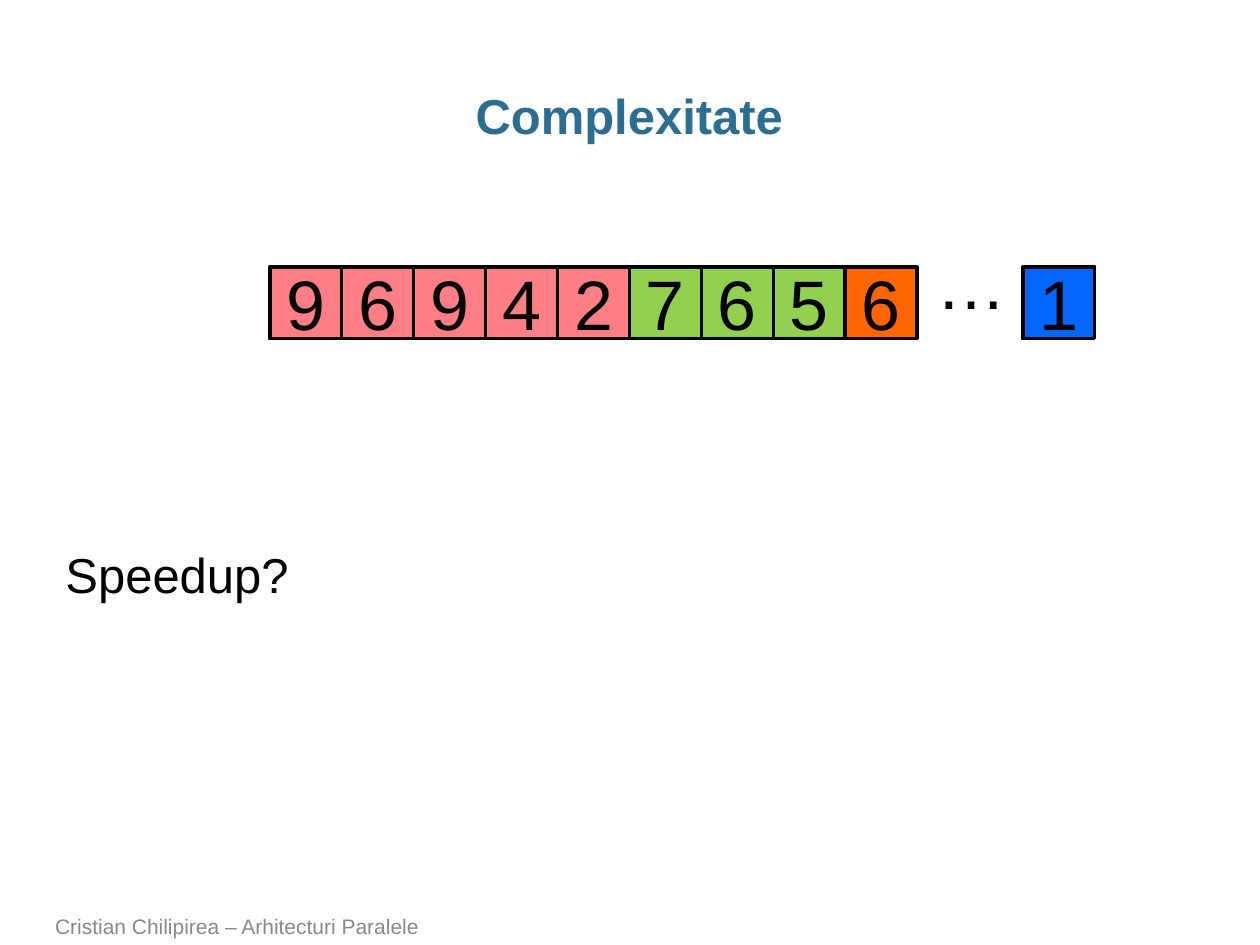
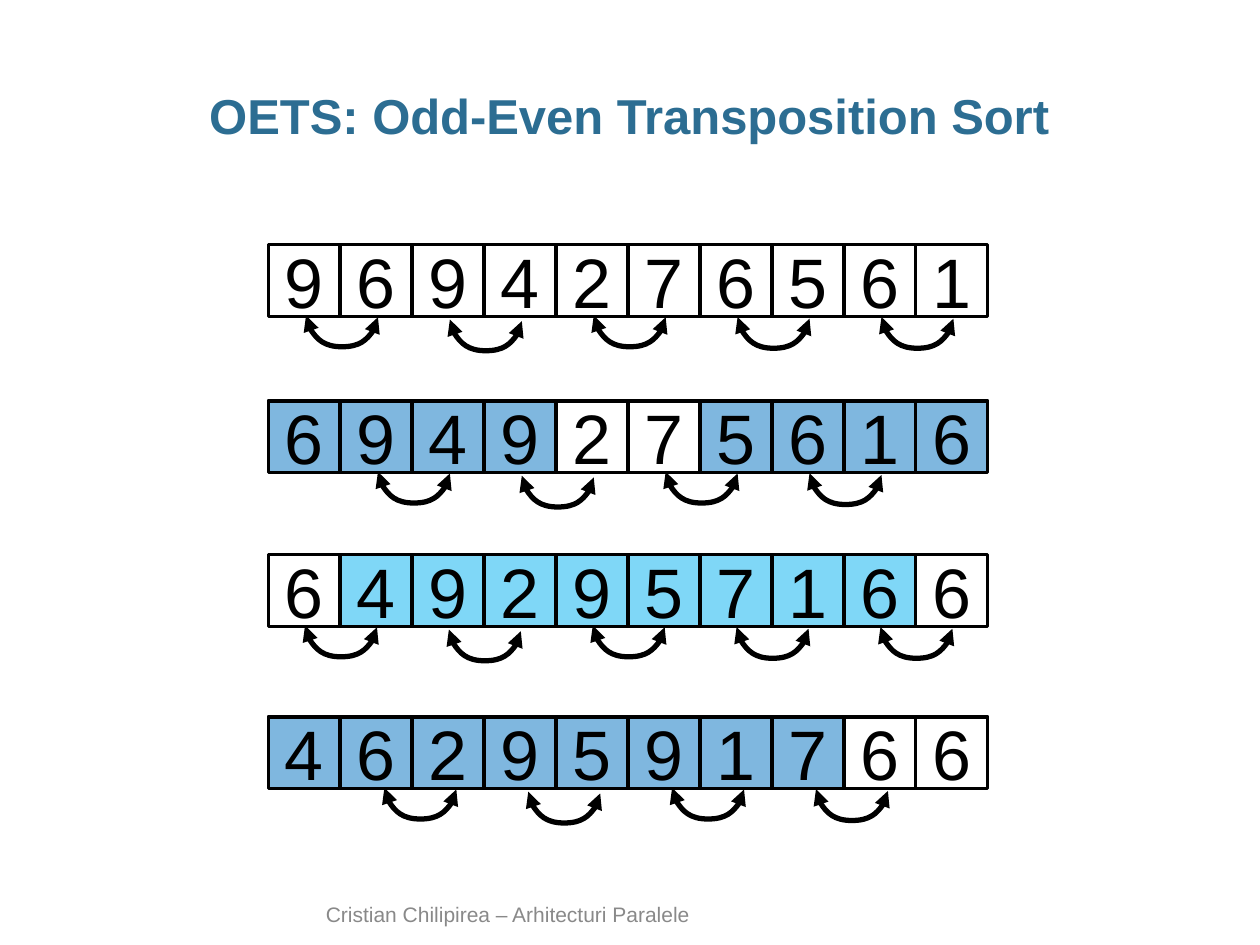
import pptx
import pptx.util
import pptx.dml.color
import pptx.enum.shapes
import pptx.enum.text
import pptx.oxml
from pptx.oxml.ns import qn
from lxml import etree

Cm, Pt = pptx.util.Cm, pptx.util.Pt
ALIGN = pptx.enum.text.PP_ALIGN
ANCHOR = pptx.enum.text.MSO_ANCHOR
AUTOSIZE = pptx.enum.text.MSO_AUTO_SIZE

FONT = "Arial"
BLACK, TITLE_BLUE, GREY = "000000", "2C6D92", "898989"
RED, GREEN, ORANGE, BLUE = "FF7F85", "92D050", "FF6600", "0066FF"
ODD_BLUE, EVEN_BLUE = "0070C0", "00B0F0"
CELL = 1.45  # side of one array cell, cm
FOOTER = "Cristian Chilipirea – Arhitecturi Paralele"


def rgb(hex_colour):
    return pptx.dml.color.RGBColor.from_string(hex_colour)


class Deck:
    """Shared style and the slide being filled."""

    def __init__(self):
        self.prs = pptx.Presentation()
        self.prs.slide_width, self.prs.slide_height = Cm(25.4), Cm(19.05)
        self.s = None

    def run(self, p, text, size, colour=BLACK, bold=False):
        r = p.add_run()
        r.text = text
        r.font.name, r.font.size, r.font.bold = FONT, Pt(size), bold
        r.font.color.rgb = rgb(colour)

    def slide(self, title):
        self.s = self.prs.slides.add_slide(self.prs.slide_layouts[5])
        sp = self.s.shapes.title
        sp.left, sp.top, sp.width, sp.height = Cm(0.86), Cm(1.73), Cm(23.65), Cm(1.27)
        tf = sp.text_frame
        tf.auto_size = AUTOSIZE.NONE
        tf.vertical_anchor = ANCHOR.MIDDLE
        tf.margin_left = tf.margin_right = 0
        p = tf.paragraphs[0]
        p.alignment, p.line_spacing = ALIGN.CENTER, 0.95
        self.run(p, title, 28, TITLE_BLUE, bold=True)

    def text(self, text, x, y, w, h, size, colour=BLACK, wrap=False, anchor=ANCHOR.TOP):
        tf = self.s.shapes.add_textbox(Cm(x), Cm(y), Cm(w), Cm(h)).text_frame
        tf.word_wrap, tf.vertical_anchor = wrap, anchor
        self.run(tf.paragraphs[0], text, size, colour)

    def footer(self, x, y, w, h):
        self.text(FOOTER, x, y, w, h, 12, GREY, wrap=True, anchor=ANCHOR.BOTTOM)

    def cell(self, digit, x, y, colour=None, opacity=100):
        sp = self.s.shapes.add_shape(
            pptx.enum.shapes.MSO_SHAPE.RECTANGLE, Cm(x), Cm(y), Cm(CELL), Cm(CELL))
        sp.shadow.inherit = False
        sp.line.color.rgb, sp.line.width = rgb(BLACK), Pt(2)
        if colour:
            sp.fill.solid()
            sp.fill.fore_color.rgb = rgb(colour)
            if opacity < 100:
                clr = sp._element.spPr.find(qn("a:solidFill")).find(qn("a:srgbClr"))
                etree.SubElement(clr, qn("a:alpha")).set("val", str(opacity * 1000))
        else:
            sp.fill.background()
        tf = sp.text_frame
        tf.vertical_anchor = ANCHOR.MIDDLE
        p = tf.paragraphs[0]
        p.alignment = ALIGN.CENTER
        self.run(p, digit, 40)

    def cells(self, digits, x, y, colours, opacity=100):
        for i, (digit, colour) in enumerate(zip(digits, colours)):
            self.cell(digit, x + i * CELL, y, colour, opacity)

    def swap_arc(self, x, y):
        """Double-headed arc hanging below (x, y), one cell wide."""
        # A thin upright connector, turned by 270 degrees about its centre
        thin, span = Pt(1), Cm(CELL)
        left, top = Cm(x) + (span - thin) // 2, Cm(y) + (thin - span) // 2
        c = self.s.shapes.add_connector(
            pptx.enum.shapes.MSO_CONNECTOR.CURVE, left + thin, top, left, top + span)
        c.line.color.rgb, c.line.width = rgb(BLACK), Pt(3)
        spPr = c._element.spPr
        spPr.find(qn("a:xfrm")).set("rot", str(270 * 60000))
        geom = spPr.find(qn("a:prstGeom"))
        guides = geom.find(qn("a:avLst"))
        if guides is None:
            guides = etree.SubElement(geom, qn("a:avLst"))
        gd = etree.SubElement(guides, qn("a:gd"))
        gd.set("name", "adj1")
        gd.set("fmla", "val 1800000")
        ln = spPr.find(qn("a:ln"))
        for end in ("a:headEnd", "a:tailEnd"):
            etree.SubElement(ln, qn(end)).set("type", "triangle")
        etree.SubElement(spPr, qn("a:effectLst"))


def complexity_slide(deck):
    deck.slide("Complexitate")
    deck.footer(0.86, 18.34, 18.72, 0.71)
    deck.text("Speedup?", 1.07, 10.85, 5.08, 1.45, 28)
    # Array with shrinking groups
    top = 5.38
    deck.cells("969427656", 5.44, top, [RED] * 5 + [GREEN] * 3 + [ORANGE])
    deck.text("…", 18.62, 4.7, 1.93, 1.96, 40)
    deck.cell("1", 20.62, top, BLUE)


def sort_slide(deck):
    deck.slide("OETS: Odd-Even Transposition Sort")
    deck.footer(6.32, 18.19, 12.75, 0.61)
    # Each step: digits, top, colour, coloured positions, left of first arc, arcs
    steps = [
        ("9694276561", 4.93, None, (), 6.17, 5),
        ("6949275616", 8.08, ODD_BLUE, (0, 1, 2, 3, 6, 7, 8, 9), 7.62, 4),
        ("6492957166", 11.18, EVEN_BLUE, range(1, 9), 6.15, 5),
        ("4629591766", 14.45, ODD_BLUE, range(8), 7.75, 4),
    ]
    arc_drops = (0, 0.08, 0, 0.03, 0.03)
    for digits, top, colour, swapped, arc_left, arcs in steps:
        colours = [colour if i in swapped else None for i in range(len(digits))]
        deck.cells(digits, 5.41, top, colours, opacity=50)
        for i, drop in enumerate(arc_drops[:arcs]):
            deck.swap_arc(arc_left + 2 * i * CELL, top + 1.43 + drop)


def main():
    deck = Deck()
    complexity_slide(deck)
    sort_slide(deck)
    deck.prs.save("out.pptx")


if __name__ == "__main__":
    main()
